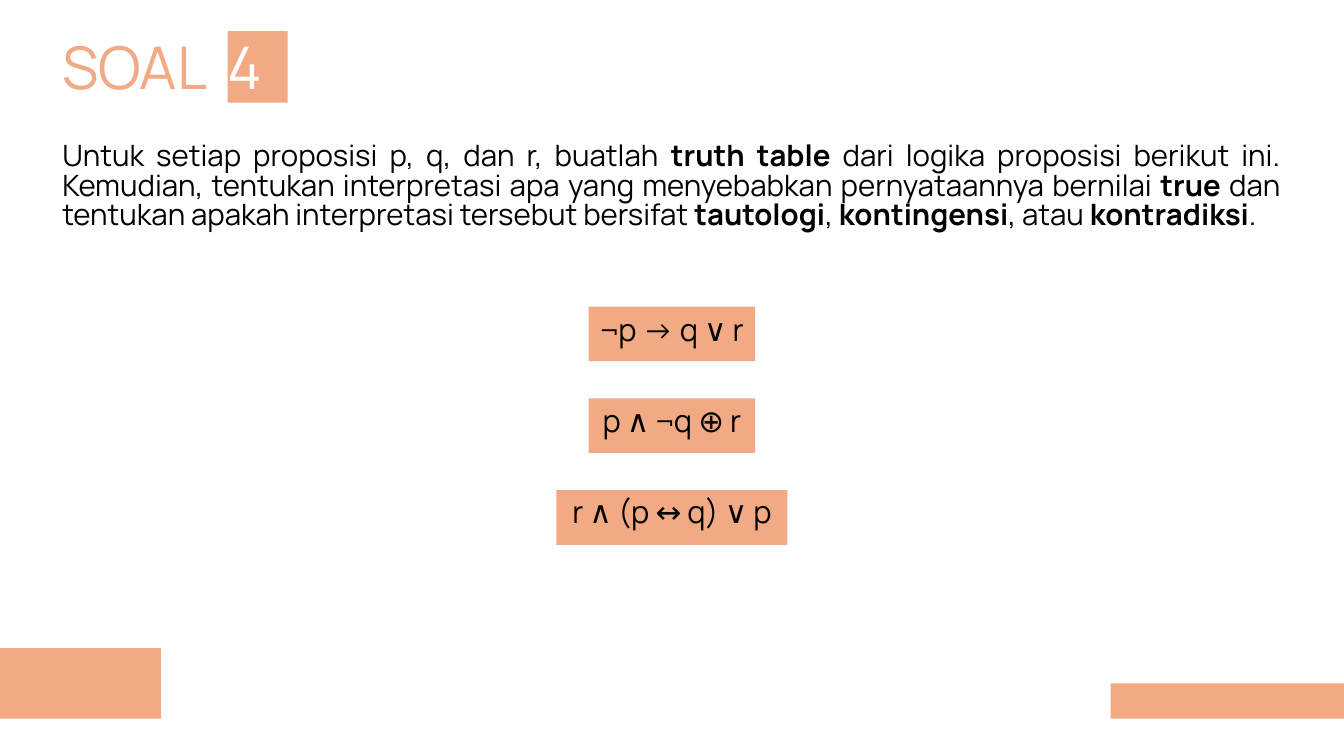
import pptx
import pptx.util
import pptx.dml.color
import pptx.enum.shapes
import pptx.enum.text

Pt = pptx.util.Pt
RGB = pptx.dml.color.RGBColor
ALIGN = pptx.enum.text.PP_ALIGN
ANCHOR = pptx.enum.text.MSO_ANCHOR
RECT = pptx.enum.shapes.MSO_SHAPE.RECTANGLE
PEACH = RGB(0xF2, 0xAA, 0x84)
BLACK = RGB(0, 0, 0)
WHITE = RGB(255, 255, 255)

deck = pptx.Presentation()
deck.slide_width, deck.slide_height = Pt(960), Pt(540)
slide = deck.slides.add_slide(deck.slide_layouts[6])


def add_block(left, top, width, height):
    block = slide.shapes.add_shape(RECT, Pt(left), Pt(top), Pt(width), Pt(height))
    block.shadow.inherit = False
    block.fill.solid()
    block.fill.fore_color.rgb = PEACH
    block.line.fill.background()


def add_text(box, runs, size, layout, anchor=ANCHOR.TOP):
    frame = slide.shapes.add_textbox(*[Pt(side) for side in box]).text_frame
    frame.word_wrap = True
    frame.vertical_anchor = anchor
    para = frame.paragraphs[0]
    for name, value in layout.items():
        setattr(para, name, value)
    for text, color, bold in runs:
        run = para.add_run()
        run.text = text
        run.font.color.rgb = color
        for name, value in {"name": "Manrope", "size": Pt(size), "bold": bold}.items():
            setattr(run.font, name, value)


add_block(162.5, 22.3, 43, 51)
add_text((37.4, 22.3, 720, 54), [("SOAL  ", PEACH, False), ("4", WHITE, False)],
         42, {"line_spacing": 0.9}, ANCHOR.BOTTOM)

task = [
    "Untuk setiap proposisi p, q, dan r, buatlah ", "truth table ",
    "dari logika proposisi berikut ini. Kemudian, tentukan interpretasi apa "
    "yang menyebabkan pernyataannya bernilai ", "true ",
    "dan tentukan apakah interpretasi tersebut bersifat ", "tautologi",
    ", ", "kontingensi", ", atau ", "kontradiksi", ".",
]
add_text((37.4, 98.6, 884.2, 81.4),
         [(part, BLACK, i % 2 == 1) for i, part in enumerate(task)], 21,
         {"alignment": ALIGN.JUSTIFY, "line_spacing": 0.84, "space_before": Pt(10)})

for box in [(0, 463, 115, 50.4), (793.4, 488.2, 188.6, 25.2)]:
    add_block(*box)

rules = [("¬p → q ∨ r", 119), ("p ∧ ¬q ⊕ r", 119), ("r ∧ (p ↔ q) ∨ p", 165)]
for i, (rule, width) in enumerate(rules):
    add_block(480 - width / 2, 219 + 65.6 * i, width, 39)
    add_text((385.3, 220 + 65.2 * i, 189.4, 44.6), [(rule, BLACK, False)], 22,
             {"alignment": ALIGN.CENTER, "line_spacing": 0.95, "space_before": Pt(10)})

deck.save("out.pptx")
